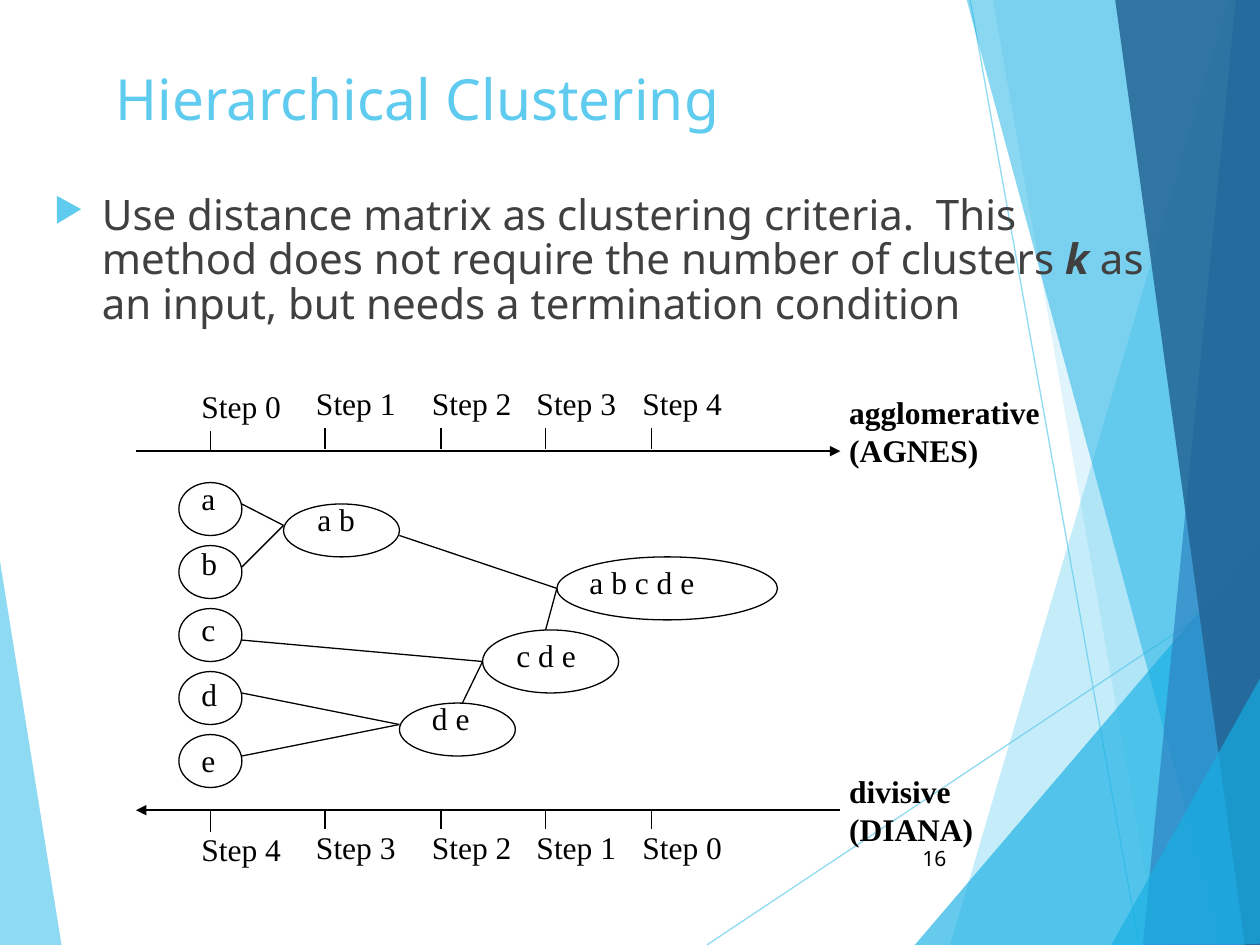
"""Build a slide on hierarchical clustering with agglomerative and divisive steps."""
from lxml import etree
from pptx import Presentation
from pptx import util as u
from pptx.dml.color import RGBColor
from pptx.enum import shapes, text
from pptx.oxml import ns

SKY = RGBColor(0x5F, 0xCB, 0xEF)
CYAN = RGBColor(0x17, 0xB0, 0xE4)
BLUE = RGBColor(0x2E, 0x83, 0xC3)
NAVY = RGBColor(0x22, 0x62, 0x92)
GREY = RGBColor(0x40, 0x40, 0x40)
BLACK = RGBColor(0, 0, 0)
SANS, SERIF = "Noto Sans", "Times New Roman"

presentation = Presentation()
presentation.slide_width, presentation.slide_height = u.Inches(10), u.Inches(7.5)
slide = presentation.slides.add_slide(presentation.slide_layouts[6])


def add_line(start, end, color=BLACK, width=0.75, arrow=None):
    """Draw a straight line, with an optional arrowhead element."""
    points = [u.Inches(value) for value in (*start, *end)]
    line = slide.shapes.add_connector(shapes.MSO_CONNECTOR.STRAIGHT, *points)
    line.line.color.rgb = color
    line.line.width = u.Pt(width)
    properties = line._element.spPr
    etree.SubElement(properties, ns.qn("a:effectLst"))
    if arrow:
        outline = properties.find(ns.qn("a:ln"))
        etree.SubElement(outline, ns.qn(arrow), type="triangle")
    return line


def add_text(box, paragraphs, wrap=True, anchor=text.MSO_ANCHOR.TOP, **font):
    """Place a text box whose paragraphs are lists of (wording, extra font values)."""
    shape = slide.shapes.add_textbox(*[u.Inches(value) for value in box])
    frame = shape.text_frame
    frame.word_wrap = wrap
    frame.vertical_anchor = anchor
    values = {"name": SERIF, "size": u.Pt(18), "color": BLACK, **font}
    for index, runs in enumerate(paragraphs):
        paragraph = frame.add_paragraph() if index else frame.paragraphs[0]
        for wording, extra in runs:
            run = paragraph.add_run()
            run.text = wording
            for key, value in {**values, **extra}.items():
                if key == "color":
                    run.font.color.rgb = value
                else:
                    setattr(run.font, key, value)
    return frame


left_facet = ([(-0.01, 4.39), (0.49, 7.51), (-0.01, 7.5)], SKY, 70)
right_facets = [
    ([(9.75, 0), (7.54, 7.5), (10.02, 7.51), (10.01, 0.01)], SKY, 36),
    ([(7.88, -0.01), (9.19, 7.5), (10.01, 7.5), (10.01, -0.01)], SKY, 20),
    ([(7.26, 7.5), (10, 4.29), (10.01, 7.5)], CYAN, 66),
    ([(7.67, -0.01), (9.7, 7.5), (10.01, 7.49), (10.01, -0.01)], CYAN, 50),
    ([(9.81, -0.01), (9.07, 7.5), (10.01, 7.5), (10, -0.01)], BLUE, 70),
    ([(8.85, -0.01), (9.88, 7.5), (10.02, 7.5), (10, -0.01)], NAVY, 82),
    ([(8.82, 7.5), (10.02, 5.35), (10.02, 7.49)], CYAN, 66),
]
for start, end in [((5.61, 7.5), (10.01, 4.57)), ((7.7, 0), (9.04, 7.5))]:
    line = add_line(start, end, SKY)
    color = line._element.spPr.find(".//" + ns.qn("a:srgbClr"))
    etree.SubElement(color, ns.qn("a:alpha"), val="70000")

for corners, fill, opacity in [left_facet, *right_facets]:
    points = [(u.Inches(x), u.Inches(y)) for x, y in corners]
    builder = slide.shapes.build_freeform(*points[0])
    builder.add_line_segments(points[1:], close=True)
    facet = builder.convert_to_shape()
    facet.shadow.inherit = False
    facet.fill.solid()
    facet.fill.fore_color.rgb = fill
    facet.line.fill.background()
    color = facet._element.spPr.find(".//" + ns.qn("a:srgbClr"))
    etree.SubElement(color, ns.qn("a:alpha"), val=str(opacity * 1000))

add_text((0.82, 0.54, 7.98, 0.48), [[("Hierarchical Clustering", {})]],
         anchor=text.MSO_ANCHOR.MIDDLE, name=SANS, size=u.Pt(32.4), color=SKY)

body = add_text((0.33, 1.5, 9.08, 1.33), [[
    ("Use distance matrix as clustering criteria.  This method does not require "
     "the number of clusters ", {}),
    ("k", {"bold": True, "italic": True}),
    (" as an input, but needs a termination condition ", {}),
]], name=SANS, size=u.Pt(24), color=GREY)
body.paragraphs[0].line_spacing = 0.88
bullet = body.paragraphs[0]._p.get_or_add_pPr()
bullet.set("marL", str(u.Inches(0.38)))
bullet.set("indent", str(u.Inches(-0.38)))
bullet_color = etree.SubElement(bullet, ns.qn("a:buClr"))
etree.SubElement(bullet_color, ns.qn("a:srgbClr"), val=str(SKY))
etree.SubElement(bullet, ns.qn("a:buSzPct"), val="80000")
etree.SubElement(bullet, ns.qn("a:buChar"), char="\u25b6")

number = add_text((7.05, 6.61, 0.56, 0.4), [[("16", {})]],
                  anchor=text.MSO_ANCHOR.MIDDLE, name=SANS, size=u.Pt(12))
number.paragraphs[0].alignment = text.PP_ALIGN.RIGHT

tick_columns = [1.67, 2.58, 3.5, 4.33, 5.17]
axes = [
    (3.58, "a:tailEnd", 3.4, 3.0, [0, 1, 2, 3, 4], 3.07, ["agglomerative", "(AGNES)"], 2.22),
    (6.43, "a:headEnd", 6.42, 6.52, [4, 3, 2, 1, 0], 6.08, ["divisive", "(DIANA)"], 1.52),
]
for axis_y, arrow, tick_y, step_y, steps, name_y, names, name_width in axes:
    add_line((1.08, axis_y), (6.67, axis_y), width=1.5, arrow=arrow)
    for column, (x, step) in enumerate(zip(tick_columns, steps)):
        drop = 0 if column else 0.02
        add_line((x, tick_y + drop), (x, tick_y + drop + 0.16))
        add_text((x - 0.17, step_y + drop, 0.83, 0.4), [[(f"Step {step}", {})]])
    add_text((6.64, name_y, name_width, 0.9), [[(name, {})] for name in names],
             wrap=False, bold=True)

clusters = [(name, 1.5, 3.75 + 0.52 * row, 0.36, (1.42, 3.83 + 0.5 * row, 0.5, 0.42))
            for row, name in enumerate("abcde")]
clusters += [
    ("a b", 2.42, 3.92, 0.6, (2.25, 4, 0.92, 0.42)),
    ("d e", 3.33, 5.5, 0.6, (3.17, 5.58, 0.92, 0.42)),
    ("c d e", 4, 5, 0.83, (3.83, 5, 1.08, 0.5)),
    ("a b c d e", 4.58, 4.42, 1.31, (4.42, 4.42, 1.75, 0.5)),
]
for members, x, y, width, oval in clusters:
    add_text((x, y, width, 0.5), [[(members, {})]], wrap=False)
    ellipse = slide.shapes.add_shape(shapes.MSO_SHAPE.OVAL, *[u.Inches(v) for v in oval])
    ellipse.shadow.inherit = False
    ellipse.fill.background()
    ellipse.line.color.rgb = BLACK
    ellipse.line.width = u.Pt(0.75)

merges = {
    (2.25, 4.17): [(1.92, 4), (1.92, 4.5)],
    (3.17, 5.75): [(1.92, 5.5), (1.92, 6)],
    (3.83, 5.25): [(1.92, 5.08), (3.67, 5.58)],
    (4.42, 4.67): [(3.17, 4.25), (4.33, 5)],
}
for merged, parts in merges.items():
    for part in parts:
        add_line(part, merged)

presentation.save("out.pptx")
